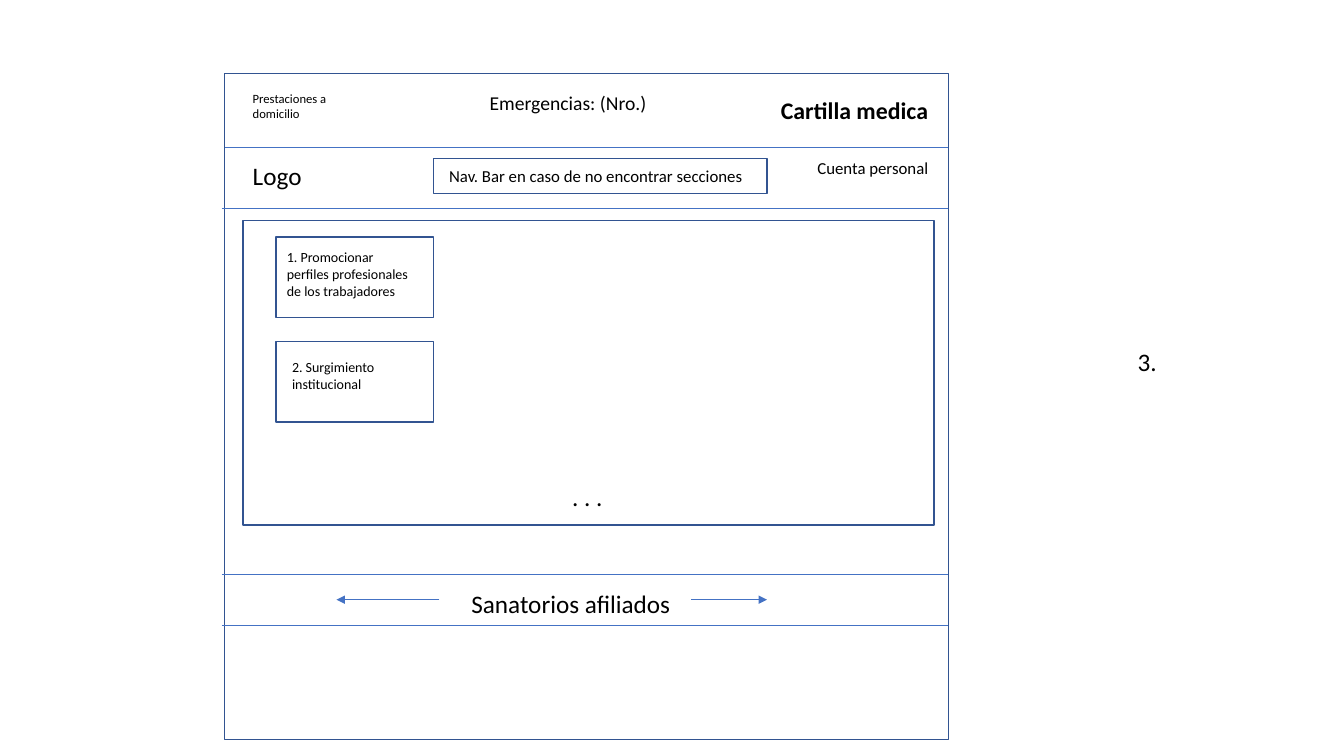
from dataclasses import dataclass

from lxml import etree
from pptx import Presentation
from pptx import util as u
from pptx.dml import color
from pptx.enum import shapes, text
from pptx.oxml import ns


@dataclass(frozen=True)
class Theme:
    font: str = "Calibri"
    ink: str = "000000"
    border: str = "325491"
    rule: str = "4472C4"
    border_width: float = 1
    rule_width: float = 0.5
    tiny: float = 9
    small: float = 10
    body: float = 12
    medium: float = 14
    strong: float = 17
    large: float = 18


def apply(target, values):
    for name, value in values.items():
        setattr(target, name, value)


class Wireframe:
    def __init__(self, slide, theme):
        self.slide = slide
        self.theme = theme

    def stroke(self, line, hue, width):
        line.color.rgb = color.RGBColor.from_string(hue)
        line.width = u.Pt(width)

    def box(self, left, top, width, height):
        panel = self.slide.shapes.add_shape(
            shapes.MSO_SHAPE.RECTANGLE, *map(u.Cm, (left, top, width, height)))
        panel.shadow.inherit = False
        panel.fill.background()
        self.stroke(panel.line, self.theme.border, self.theme.border_width)

    def rule(self, start, end, y, arrow=False):
        divider = self.slide.shapes.add_connector(
            shapes.MSO_CONNECTOR.STRAIGHT, *map(u.Cm, (start, y, end, y)))
        self.stroke(divider.line, self.theme.rule, self.theme.rule_width)
        properties = divider._element.spPr
        if arrow:
            etree.SubElement(properties.find(ns.qn("a:ln")),
                             ns.qn("a:tailEnd"), type="triangle")
        etree.SubElement(properties, ns.qn("a:effectLst"))

    def label(self, words, left, top, width, height, size, wrap=True, bold=False):
        caption = self.slide.shapes.add_textbox(
            *map(u.Cm, (left, top, width, height)))
        frame = caption.text_frame
        apply(frame, {"word_wrap": wrap,
                      "auto_size": text.MSO_AUTO_SIZE.SHAPE_TO_FIT_TEXT})
        run = frame.paragraphs[0].add_run()
        run.text = words
        apply(run.font, {"name": self.theme.font, "size": u.Pt(size), "bold": bold})
        run.font.color.rgb = color.RGBColor.from_string(self.theme.ink)


deck = Presentation()
apply(deck, {"slide_width": u.Cm(33.87), "slide_height": u.Cm(19.05)})
theme = Theme()
page = Wireframe(deck.slides.add_slide(deck.slide_layouts[6]), theme)

page_left, page_right = 5.66, 23.9
page.box(page_left, 1.85, page_right - page_left, 16.79)

page.rule(page_left, page_right, 3.71)
for divider_y in (5.26, 14.48, 15.75):
    page.rule(5.59, page_right, divider_y)

page.label("Prestaciones a domicilio", 6.12, 2.16, 3.58, 1.02, theme.tiny)
page.label("Emergencias: (Nro.)", 12.09, 2.16, 6.05, 0.86, theme.medium)
page.label("Cartilla medica", 19.43, 2.29, 5.13, 0.99, theme.strong, bold=True)

page.label("Logo", 6.12, 3.91, 1.75, 1.02, theme.large, wrap=False)
page.box(10.92, 3.99, 8.41, 0.89)
page.label("Nav. Bar en caso de no encontrar secciones",
           11.07, 4.04, 8, 0.76, theme.body, wrap=False)
page.label("Cuenta personal", 20.35, 3.84, 5.66, 0.76, theme.body)

page.box(6.12, 5.56, 17.42, 7.67)
cards = [
    ("1. Promocionar perfiles profesionales de los trabajadores",
     6.98, 6.15, 3.61, 1.55),
    ("2. Surgimiento institucional", 7.11, 8.92, 4.24, 1.12),
]
for index, (topic, left, top, width, height) in enumerate(cards):
    page.box(6.96, 5.97 + index * 2.64, 3.96, 2.03)
    page.label(topic, left, top, width, height, theme.small)
page.label(". . .", 14.17, 12.01, 5.54, 1.02, theme.large)

page.label("Sanatorios afiliados", 11.63, 14.71, 6.93, 1.02, theme.large)
for arrow_start, arrow_end in ((17.42, 19.33), (11.07, 8.48)):
    page.rule(arrow_start, arrow_end, 15.11, arrow=True)

page.label("3.", 28.42, 8.61, 1.14, 1.02, theme.large, wrap=False)

deck.save("out.pptx")
